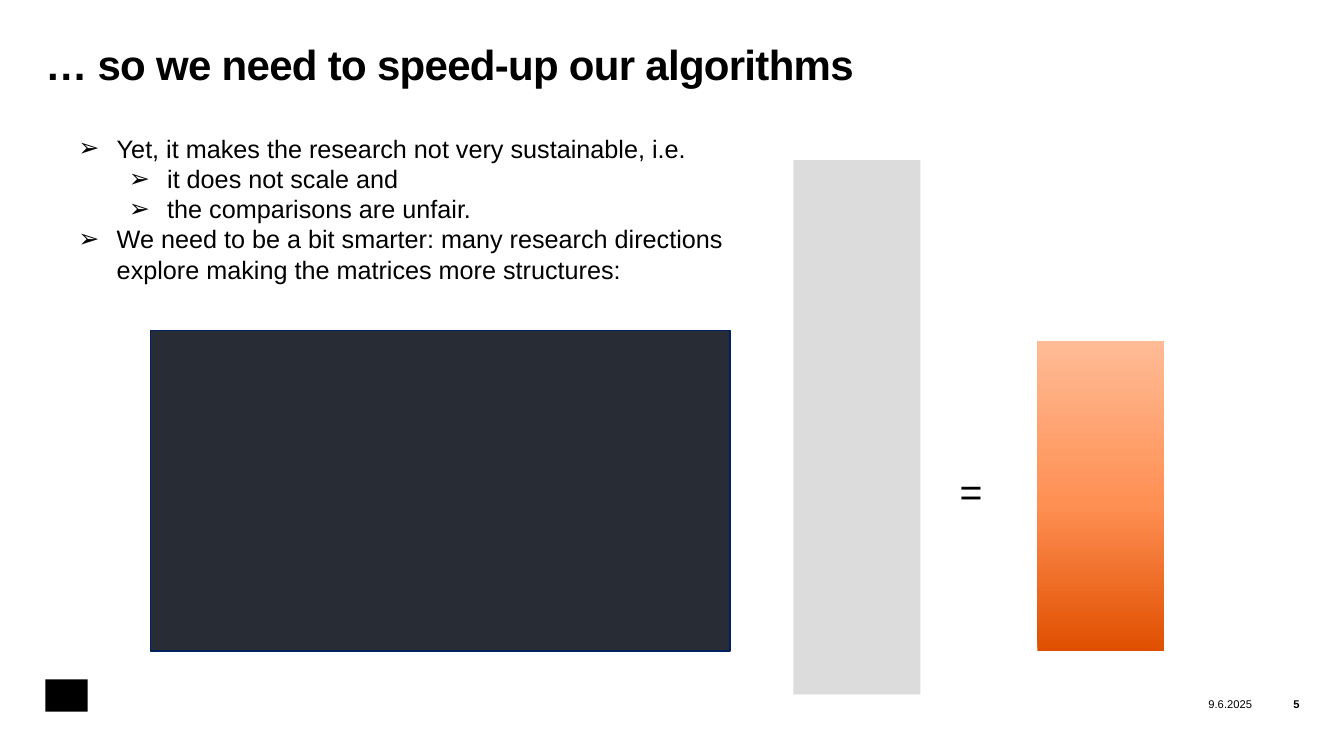
from copy import deepcopy
from dataclasses import dataclass
from typing import Optional

from lxml.etree import SubElement
from pptx import Presentation
from pptx.dml.color import RGBColor
from pptx.enum.shapes import MSO_SHAPE as Preset
from pptx.enum.text import MSO_ANCHOR as Anchor, PP_ALIGN as Align
from pptx.oxml.ns import qn
from pptx.util import Inches, Pt

COLORS = {
    "black": "000000",
    "slate": "282C34",
    "navy": "002060",
    "grey": "DCDCDC",
    "rust": "E04F00",
    "orange": "FF9054",
    "peach": "FFBB95",
}
FONT = "Arial"
HANG = 0.38
LEVEL_STEP = 0.5


@dataclass
class Block:
    left: float
    top: float
    width: float
    height: float
    fill: Optional[str] = None
    line: Optional[str] = None
    gradient: tuple[tuple[float, str], ...] = ()


@dataclass
class Bullet:
    text: str
    level: int = 0


BLOCKS = [
    Block(0.45, 6.74, 0.42, 0.32, "black"),  # logo stand-in
    Block(1.49, 3.28, 5.75, 3.18, "slate", line="navy"),
    Block(7.87, 1.59, 1.26, 5.3, "grey"),
    Block(10.29, 3.38, 1.26, 3.08,
          gradient=((0, "rust"), (0.48, "orange"), (1, "peach"))),
]
BULLETS = [
    Bullet("Yet, it makes the research not very sustainable, i.e."),
    Bullet("it does not scale and", 1),
    Bullet("the comparisons are unfair.", 1),
    Bullet("We need to be a bit smarter: many research directions \n"
           "explore making the matrices more structures:"),
]


def rgb(name: str) -> RGBColor:
    return RGBColor.from_string(COLORS[name])


def add_block(page, block: Block):
    box = page.shapes.add_shape(
        Preset.RECTANGLE, Inches(block.left), Inches(block.top),
        Inches(block.width), Inches(block.height))
    box.shadow.inherit = False
    if block.gradient:
        box.fill.gradient()
        box.fill.gradient_angle = 90
        stop_list = box._element.spPr.find(f".//{qn('a:gsLst')}")
        while len(stop_list) < len(block.gradient):
            stop_list.append(deepcopy(stop_list[0]))
        for stop, (position, color) in zip(box.fill.gradient_stops, block.gradient):
            stop.position = position
            stop.color.rgb = rgb(color)
    else:
        box.fill.solid()
        box.fill.fore_color.rgb = rgb(block.fill)
    if block.line:
        box.line.color.rgb = rgb(block.line)
        box.line.width = Pt(1)
    else:
        box.line.fill.background()
    return box


def add_box(page, left: float, top: float, width: float, height: float,
            inset: bool = True, anchor=Anchor.TOP):
    box = page.shapes.add_textbox(
        Inches(left), Inches(top), Inches(width), Inches(height))
    frame = box.text_frame
    frame.word_wrap = True
    frame.vertical_anchor = anchor
    if not inset:
        frame.margin_left = frame.margin_right = 0
        frame.margin_top = frame.margin_bottom = 0
    return frame


def write(para, text: str, *, size: float, bold: bool = False,
          align=Align.LEFT, spacing: Optional[float] = None) -> None:
    para.alignment = align
    for index, line in enumerate(text.split("\n")):
        if index:
            para.add_line_break()
        span = para.add_run()
        span.text = line
        span.font.name = FONT
        span.font.size = Pt(size)
        span.font.bold = bold
        span.font.color.rgb = rgb("black")
        if spacing is not None:
            span.font._element.set("spc", str(int(spacing * 100)))


def set_bullet(para, level: int) -> None:
    para.level = level
    properties = para._p.get_or_add_pPr()
    properties.set("marL", str(Inches(HANG + level * LEVEL_STEP)))
    properties.set("indent", str(-Inches(HANG)))
    SubElement(properties, qn("a:buFont")).set("typeface", FONT)
    SubElement(properties, qn("a:buChar")).set("char", "➢")


def main() -> None:
    deck = Presentation()
    deck.slide_width, deck.slide_height = Inches(13.33), Inches(7.5)
    page = deck.slides.add_slide(deck.slide_layouts[6])

    # Title
    title = add_box(page, 0.45, 0.44, 12.44, 1.18, inset=False).paragraphs[0]
    title.line_spacing = 0.9
    write(title, "… so we need to speed-up our algorithms",
          size=30, bold=True, spacing=-0.5)

    # Bulleted argument
    frame = add_box(page, 0.68, 1.27, 10.87, 1.62)
    for index, bullet in enumerate(BULLETS):
        para = frame.add_paragraph() if index else frame.paragraphs[0]
        write(para, bullet.text, size=18)
        set_bullet(para, bullet.level)

    # Matrix product
    for block in BLOCKS:
        add_block(page, block)
    write(add_box(page, 9.42, 4.59, 1.74, 0.57).paragraphs[0], "=", size=28)

    # Footer
    for left, width, text, bold in ((11.16, 1.26, "9.6.2025", False),
                                    (12.42, 0.47, "5", True)):
        frame = add_box(page, left, 6.9, width, 0.16, inset=False, anchor=Anchor.MIDDLE)
        write(frame.paragraphs[0], text, size=8, bold=bold, align=Align.RIGHT)

    deck.save("out.pptx")


if __name__ == "__main__":
    main()
